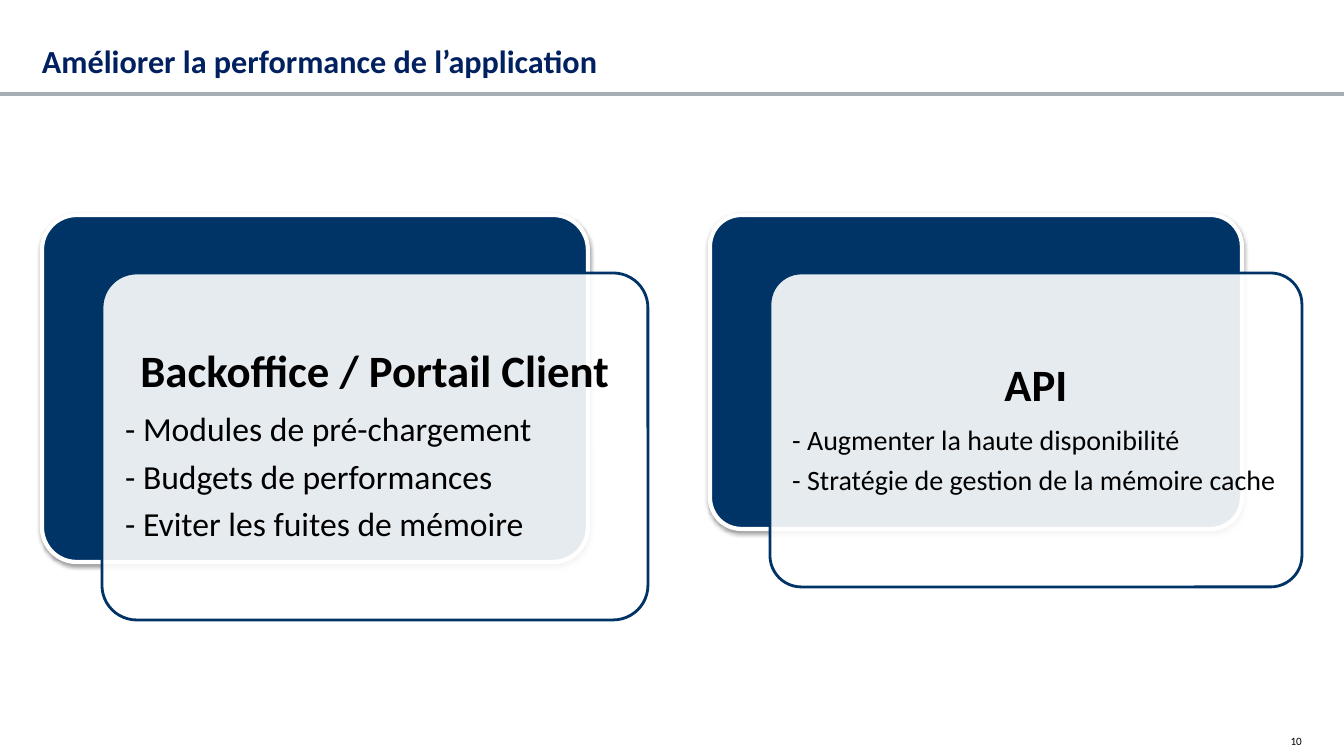
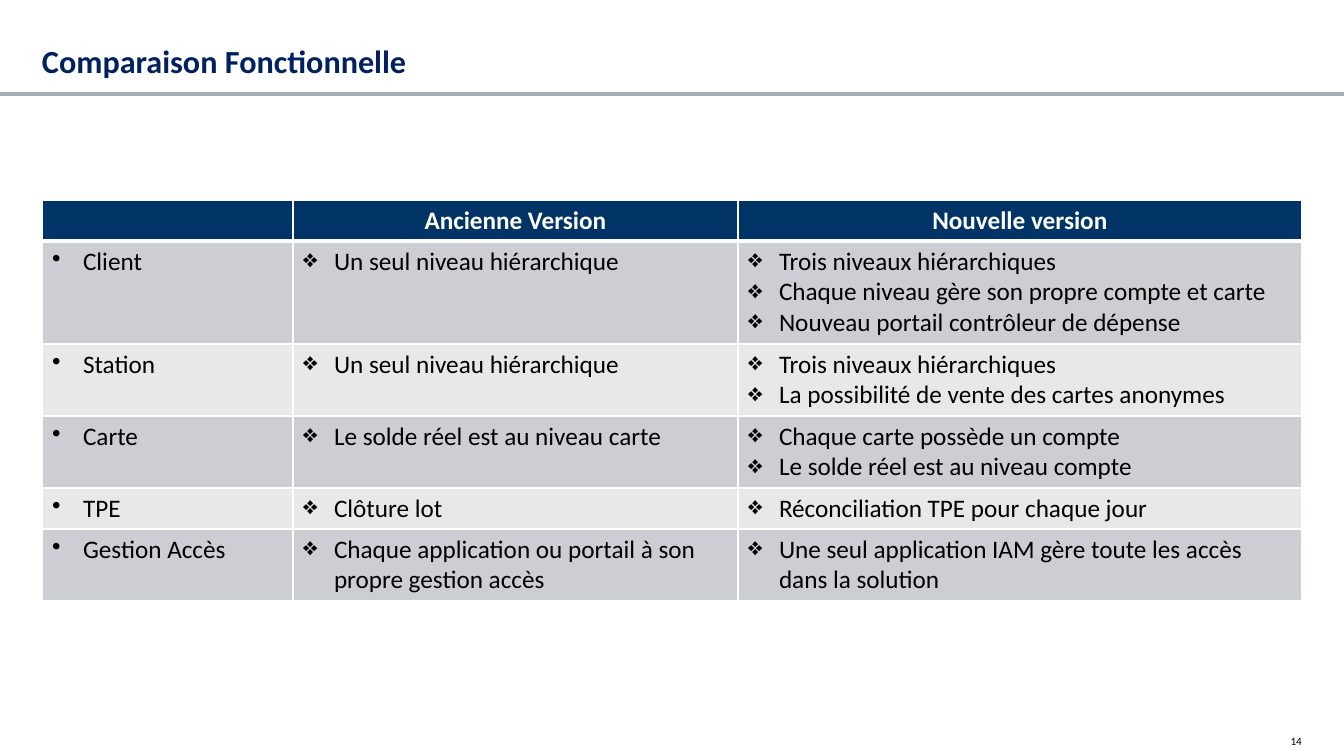
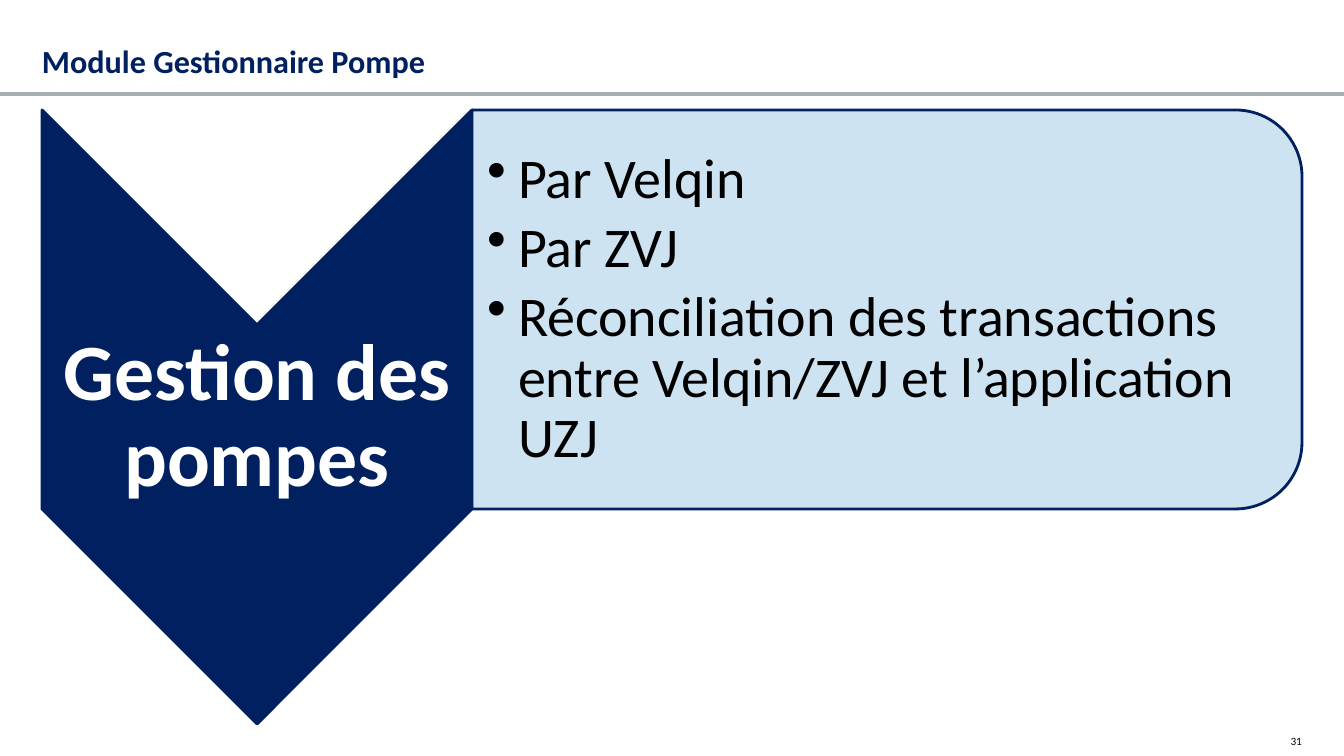
from lxml import etree
from pptx import Presentation
from pptx import util as u
from pptx.dml.color import RGBColor
from pptx.enum import shapes, text
from pptx.oxml import ns

# Style
SCALE = 12192000 / 1344  # EMU per px
WIDTH, HEIGHT, MARGIN = 1344, 756, 42
CONTENT = WIDTH - 2 * MARGIN
FONT = "Calibri"
BLACK = RGBColor(0x00, 0x00, 0x00)
WHITE = RGBColor(0xFF, 0xFF, 0xFF)
INDIGO = RGBColor(0x00, 0x20, 0x60)
NAVY = RGBColor(0x00, 0x33, 0x66)
RULE_GREY = RGBColor(0xA5, 0xAF, 0xB4)
ROW_DARK = RGBColor(0xCC, 0xCE, 0xD3)
ROW_LIGHT = RGBColor(0xE7, 0xE8, 0xEA)
PALE_BLUE = RGBColor(0xC9, 0xE0, 0xF0)
LEFT, CENTER, RIGHT = text.PP_ALIGN.LEFT, text.PP_ALIGN.CENTER, text.PP_ALIGN.RIGHT
TOP, MIDDLE, BOTTOM = text.MSO_ANCHOR.TOP, text.MSO_ANCHOR.MIDDLE, text.MSO_ANCHOR.BOTTOM
PRESET = shapes.MSO_SHAPE


def px(length):
    return u.Emu(round(length * SCALE))


def sub(parent, tag, **attributes):
    """Append a DrawingML element."""
    element = etree.SubElement(parent, ns.qn("a:" + tag))
    for name, value in attributes.items():
        element.set(name, str(value))
    return element


def write(frame, content, size=18, color=BLACK, bold=False, align=LEFT,
          spacing=None, after=0, bullet=None, indent=31):
    """Add one paragraph; after is a share of the text size."""
    paragraph = frame.add_paragraph() if frame.text else frame.paragraphs[0]
    paragraph.alignment = align
    if spacing:
        paragraph.line_spacing = spacing
    paragraph.space_after = u.Pt(round(size * after))
    if bullet:
        properties = paragraph._p.get_or_add_pPr()
        properties.set("marL", str(px(indent)))
        properties.set("indent", str(-px(indent)))
        sub(properties, "buChar", char=bullet)
    run = paragraph.add_run()
    run.text = content
    run.font.name, run.font.size, run.font.bold = FONT, u.Pt(size), bold
    run.font.color.rgb = color


class Deck:
    def __init__(self):
        self.file = Presentation()
        self.file.slide_width, self.file.slide_height = px(WIDTH), px(HEIGHT)
        self.slide = None

    def page(self, title, number):
        """Start a slide with its title, rule and page number."""
        self.slide = self.file.slides.add_slide(self.file.slide_layouts[5])
        heading = self.slide.shapes.title
        heading.left, heading.top, heading.width, heading.height = map(px, (MARGIN, 9, 1053, 71))
        write(self.frame(heading, anchor=BOTTOM), title, size=23, color=INDIGO,
              bold=True, spacing=0.84)
        self.rule(94)
        write(self.box(1249, 734, 53, 18), number, size=8, align=RIGHT)

    def frame(self, shape, anchor=TOP, inset=(0, 0)):
        frame = shape.text_frame
        frame.word_wrap = True
        frame.auto_size = text.MSO_AUTO_SIZE.NONE
        frame.vertical_anchor = anchor
        frame.margin_left = frame.margin_right = px(inset[0])
        frame.margin_top = frame.margin_bottom = px(inset[1])
        return frame

    def box(self, x, y, w, h, **layout):
        return self.frame(self.slide.shapes.add_textbox(px(x), px(y), px(w), px(h)), **layout)

    def rule(self, y):
        rule = self.slide.shapes.add_connector(
            shapes.MSO_CONNECTOR.STRAIGHT, 0, px(y), px(WIDTH), px(y))
        rule.line.color.rgb, rule.line.width = RULE_GREY, u.Pt(2.8)
        sub(rule._element.spPr, "effectLst")

    def shape(self, preset, x, y, w, h, fill, line, weight=2, opacity=100,
              adjust=None, shadow=False, turned=False):
        """Draw a preset; a turned one fills its box after a quarter turn."""
        if turned:
            x, y, w, h = x + (w - h) / 2, y + (h - w) / 2, h, w
        shape = self.slide.shapes.add_shape(preset, px(x), px(y), px(w), px(h))
        shape.rotation = 90 if turned else 0
        if adjust is not None:
            shape.adjustments[0] = adjust
        shape.fill.solid()
        shape.fill.fore_color.rgb = fill
        shape.line.color.rgb, shape.line.width = line, u.Pt(weight)
        shape.shadow.inherit = False
        properties = shape._element.spPr
        if opacity < 100:
            sub(properties.find(ns.qn("a:solidFill"))[0], "alpha", val=opacity * 1000)
        if shadow:
            effect = sub(properties.find(ns.qn("a:effectLst")), "outerShdw",
                         blurRad=u.Pt(3.1), dist=u.Pt(1.6), dir=90 * 60000, rotWithShape=0)
            sub(sub(effect, "srgbClr", val=BLACK), "alpha", val=38000)
        return shape

    def card(self, x, w, h, heading, items, size):
        """A navy plate with a translucent text card shifted over it."""
        plate, y = PRESET.ROUNDED_RECTANGLE, 215
        self.shape(plate, x, y, w, h, NAVY, WHITE, weight=3, adjust=0.1, shadow=True)
        front = self.shape(plate, x + 60, y + 58, w, h, WHITE, NAVY, opacity=90, adjust=0.1)
        frame = self.frame(front, anchor=MIDDLE, inset=(13, 13))
        write(frame, heading, size=32, bold=True, align=CENTER, spacing=0.9, after=0.35)
        for item in items:
            write(frame, "- " + item, size=size, spacing=0.9, after=0.35)

    def cell(self, cell, fill, bottom=1):
        cell.fill.solid()
        cell.fill.fore_color.rgb = fill
        properties = cell._tc.get_or_add_tcPr()
        for place, (side, weight) in enumerate(zip("LRTB", (1, 1, 1, bottom))):
            border = etree.Element(ns.qn("a:ln" + side), w=str(u.Pt(weight)))
            sub(sub(border, "solidFill"), "srgbClr", val=WHITE)
            properties.insert(place, border)
        return cell.text_frame

    def table(self, y, widths, headers, rows):
        """Rows hold a line count, then a list of points for each column."""
        heights = [10 + 31 * lines for lines in [1] + [row[0] for row in rows]]
        table = self.slide.shapes.add_table(
            len(heights), len(widths), px(MARGIN), px(y), px(sum(widths)), px(sum(heights))).table
        table.horz_banding = False
        for column, width in zip(table.columns, widths):
            column.width = px(width)
        for row, height in zip(table.rows, heights):
            row.height = px(height)
        for c, header in enumerate(headers):
            frame = self.cell(table.cell(0, c), NAVY, bottom=3)
            if header:
                write(frame, header, color=WHITE, bold=True, align=CENTER)
        for r, (_, *columns) in enumerate(rows, 1):
            for c, points in enumerate(columns):
                frame = self.cell(table.cell(r, c), ROW_DARK if r % 2 else ROW_LIGHT)
                for point in points:
                    write(frame, point, bullet="❖" if c else "•")


def main():
    deck = Deck()

    # Performance
    deck.page("Améliorer la performance de l’application", "10")
    deck.card(MARGIN, 546, 347, "Backoffice / Portail Client",
              ["Modules de pré-chargement", "Budgets de performances",
               "Eviter les fuites de mémoire"], 24)
    deck.card(710, 532, 314, "API",
              ["Augmenter la haute disponibilité",
               "Stratégie de gestion de la mémoire cache"], 20)

    # Comparison
    deck.page("Comparaison Fonctionnelle", "14")
    deck.table(200, [251, 445, 564], ["", "Ancienne Version", "Nouvelle version"], [
        (3, ["Client"], ["Un seul niveau hiérarchique"],
         ["Trois niveaux hiérarchiques", "Chaque niveau gère son propre compte et carte",
          "Nouveau portail contrôleur de dépense"]),
        (2, ["Station"], ["Un seul niveau hiérarchique"],
         ["Trois niveaux hiérarchiques", "La possibilité de vente des cartes anonymes"]),
        (2, ["Carte"], ["Le solde réel est au niveau carte"],
         ["Chaque carte possède un compte", "Le solde réel est au niveau compte"]),
        (1, ["TPE"], ["Clôture lot"], ["Réconciliation TPE pour chaque jour"]),
        (2, ["Gestion Accès"], ["Chaque application ou portail à son propre gestion accès"],
         ["Une seul application IAM gère toute les accès dans la solution"]),
    ])

    # Pump module
    deck.page("Module Gestionnaire Pompe", "31")
    arrow, top = 430, 110
    split = MARGIN + arrow
    deck.shape(PRESET.CHEVRON, MARGIN, top, arrow, 614, INDIGO, INDIGO, turned=True)
    write(deck.box(MARGIN, 325, arrow, 185, anchor=MIDDLE, inset=(4, 4)), "Gestion des pompes",
          size=57, color=WHITE, bold=True, align=CENTER, spacing=0.9, after=0.35)
    deck.shape(PRESET.ROUND_2_SAME_RECTANGLE, split, top, CONTENT - arrow, 399,
               PALE_BLUE, INDIGO, opacity=90, turned=True)
    points = deck.box(split, 130, 810, 360, anchor=MIDDLE, inset=(15, 7))
    for point in ("Par Velqin", "Par ZVJ",
                  "Réconciliation des transactions entre Velqin/ZVJ et l’application UZJ"):
        write(points, point, size=40, spacing=0.9, after=0.15, bullet="•")

    deck.file.save("out.pptx")


if __name__ == "__main__":
    main()
